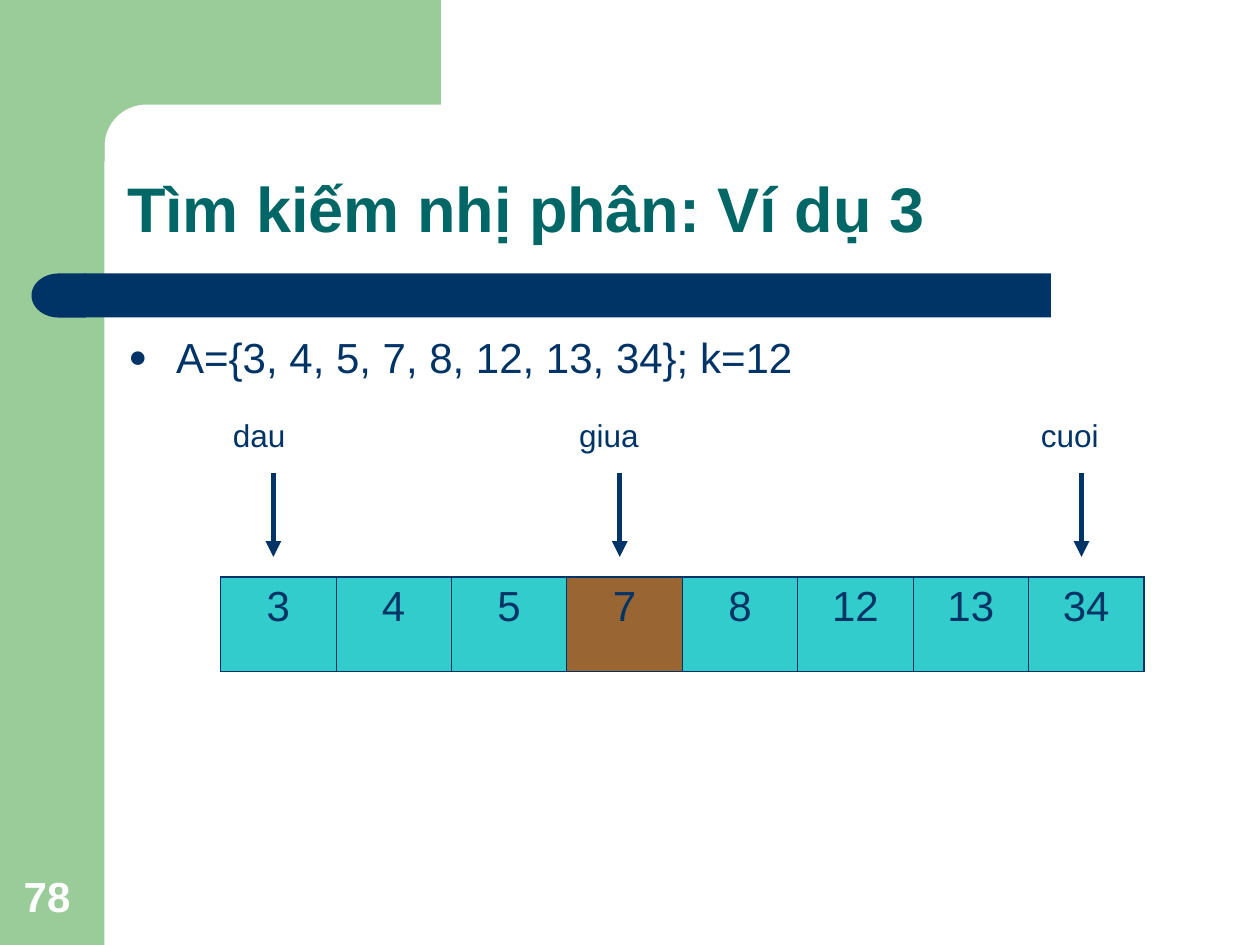
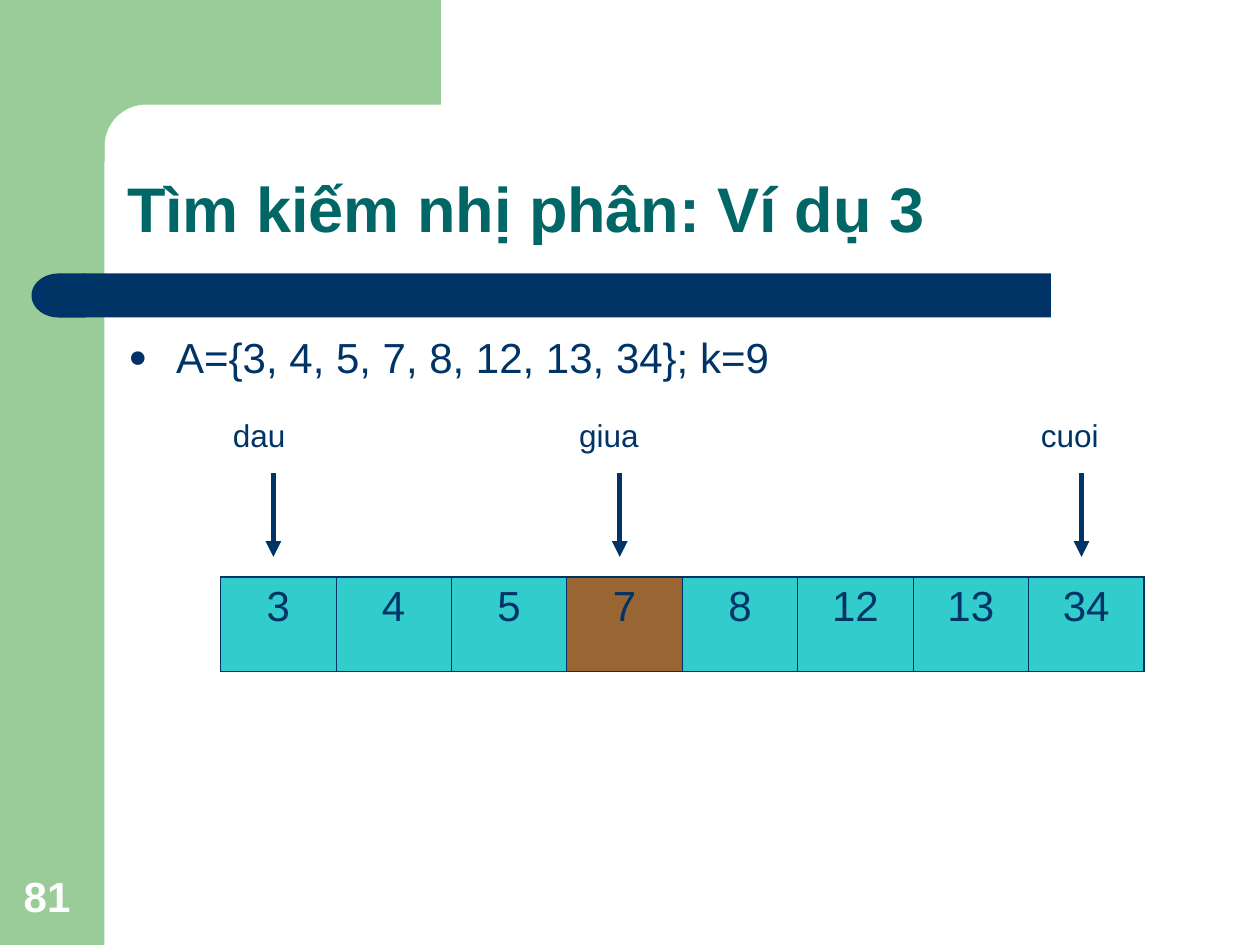
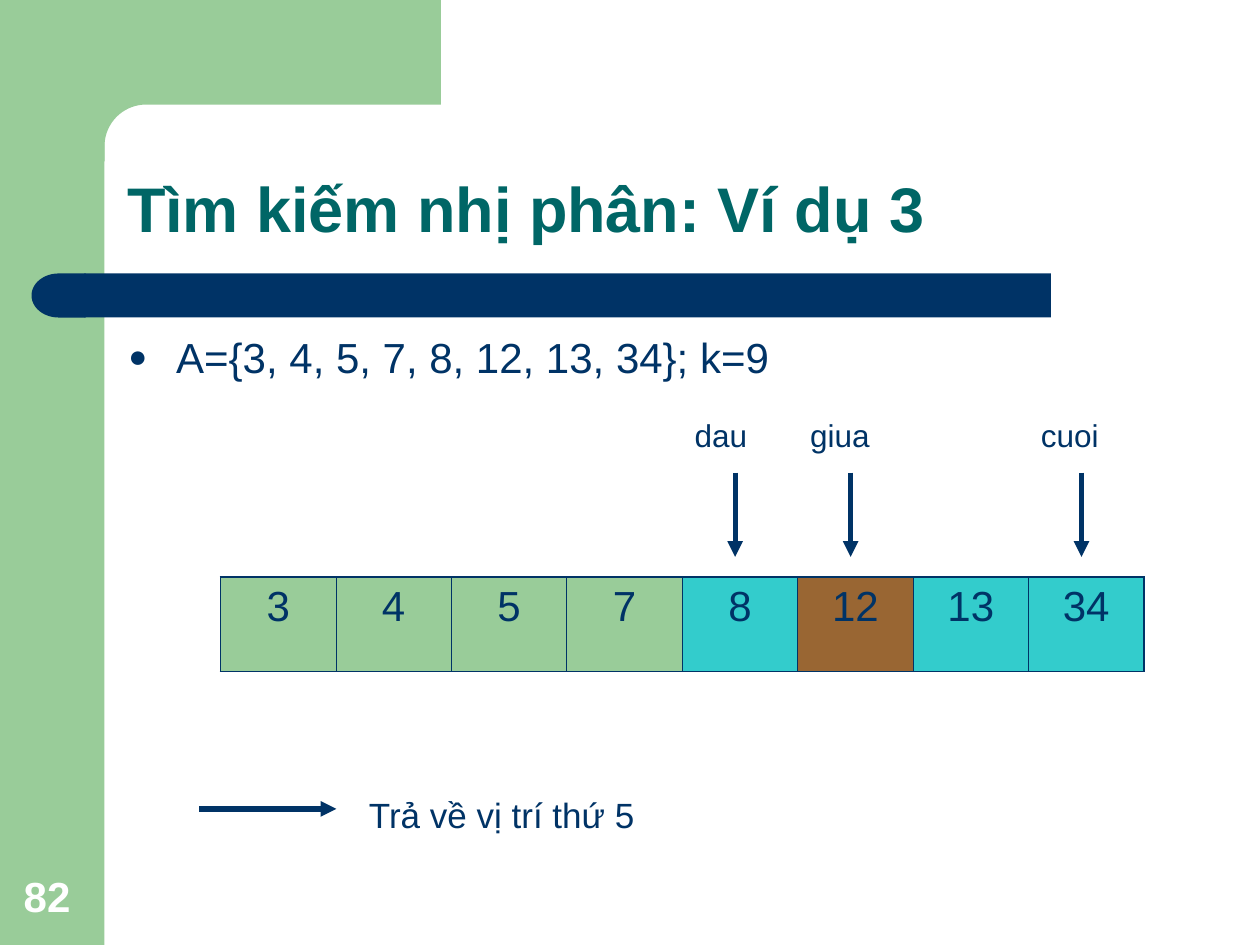
import math
import pptx
import pptx.util
import pptx.dml.color
import pptx.enum.shapes
import pptx.enum.text
import pptx.oxml
import pptx.oxml.ns
from lxml import etree

Inches = pptx.util.Inches
Pt = pptx.util.Pt
KIND = pptx.enum.shapes.MSO_SHAPE
ALIGN = pptx.enum.text.PP_ALIGN
ANCHOR = pptx.enum.text.MSO_ANCHOR
qn = pptx.oxml.ns.qn

FONT = "Arial"
HEX = {"green": "99CC99", "navy": "003366", "title": "006666",
       "white": "FFFFFF", "teal": "33CCCC", "brown": "996633"}

TITLE = "Tìm kiếm nhị phân: Ví dụ 3"
DATA = [3, 4, 5, 7, 8, 12, 13, 34]
# first, mid and last are cell positions counted from 0
STEPS = [
    {"page": 78, "key": 12, "first": 0, "mid": 3, "last": 7, "result": None},
    {"page": 81, "key": 9, "first": 0, "mid": 3, "last": 7, "result": None},
    {"page": 82, "key": 9, "first": 4, "mid": 5, "last": 7,
     "result": "Trả về vị trí thứ 5"},
]
MARKS = [("first", "dau"), ("last", "cuoi"), ("mid", "giua")]

LEFT, TOP, WIDE, HIGH = 1.75, 4.58, 7.33, 0.75
CELL = WIDE / len(DATA)


def tint(name):
    return pptx.dml.color.RGBColor.from_string(HEX[name])


def paint(shape, color):
    shape.shadow.inherit = False
    shape.fill.solid()
    shape.fill.fore_color.rgb = tint(color)
    shape.line.fill.background()


def style(para, size, color="navy", bold=False):
    for run in para.runs:
        font = run.font
        font.name, font.size, font.bold = FONT, Pt(size), bold
        font.color.rgb = tint(color)


def write(slide, box, text, size, color="navy", bold=False, anchor=ANCHOR.TOP):
    frame = slide.shapes.add_textbox(*map(Inches, box)).text_frame
    frame.word_wrap = True
    frame.vertical_anchor = anchor
    frame.text = text
    para = frame.paragraphs[0]
    style(para, size, color, bold)
    return para


def bullet(para):
    props = para._p.get_or_add_pPr()
    props.set("marL", str(Inches(0.38)))
    props.set("indent", str(-Inches(0.38)))
    shade = etree.SubElement(props, qn("a:buClr"))
    etree.SubElement(shade, qn("a:srgbClr"), val=HEX["navy"])
    etree.SubElement(props, qn("a:buSzPct"), val="75000")
    etree.SubElement(props, qn("a:buFont"), typeface=FONT)
    etree.SubElement(props, qn("a:buChar"), char="●")


def arrow(slide, x1, y1, x2, y2):
    link = slide.shapes.add_connector(
        pptx.enum.shapes.MSO_CONNECTOR.STRAIGHT,
        *map(Inches, (x1, y1, x2, y2)))
    link.line.color.rgb = tint("navy")
    link.line.width = Pt(3)
    etree.SubElement(link.line._get_or_add_ln(), qn("a:tailEnd"),
                     type="triangle")
    etree.SubElement(link._element.spPr, qn("a:effectLst"))


def corner(slide):
    """Top band whose inner corner is rounded."""
    mid, rad = 1.16, 0.33
    turns = [math.radians(a) for a in range(90, 181, 5)]
    arc = [(mid + rad * math.cos(t), mid - rad * math.sin(t)) for t in turns]
    points = [(3.5, 0.83), *arc, (0.83, 1.28), (0.5, 1.28), (0.5, 0)]
    build = slide.shapes.build_freeform(Inches(3.5), 0)
    build.add_line_segments([(Inches(x), Inches(y)) for x, y in points])
    paint(build.convert_to_shape(), "green")


def frame(slide, page):
    """Bands, title and page number of every slide."""
    def block(kind, box, color):
        shape = slide.shapes.add_shape(kind, *map(Inches, box))
        paint(shape, color)
        return shape

    block(KIND.RECTANGLE, (0, 0, 0.83, 7.5), "green")
    corner(slide)
    block(KIND.RECTANGLE, (0.67, 2.17, 7.67, 0.35), "navy")
    block(KIND.FLOWCHART_DELAY, (0.25, 2.17, 0.43, 0.35), "navy").rotation = 180
    write(slide, (0.09, 6.83, 0.64, 0.53), str(page), 24, "white", True,
          ANCHOR.BOTTOM)
    head = write(slide, (0.91, 0.91, 8.51, 1.09), TITLE, 36, "title", True,
                 ANCHOR.BOTTOM)
    head.line_spacing = 0.9


def border(cell, side, width):
    line = etree.SubElement(cell._tc.get_or_add_tcPr(), qn("a:ln" + side),
                            w=str(Pt(width)))
    fill = etree.SubElement(line, qn("a:solidFill"))
    etree.SubElement(fill, qn("a:srgbClr"), val=HEX["navy"])


def array(slide, step):
    """Row of cells: green is ruled out, brown is the middle."""
    table = slide.shapes.add_table(
        1, len(DATA), *map(Inches, (LEFT, TOP, WIDE, HIGH))).table
    table.first_row = table.horz_banding = False
    for i, value in enumerate(DATA):
        table.columns[i].width = Inches(CELL)
        cell = table.cell(0, i)
        cell.text = str(value)
        para = cell.text_frame.paragraphs[0]
        para.alignment = ALIGN.CENTER
        style(para, 24)
        ends = {"L": i == 0, "R": i == len(DATA) - 1, "T": True, "B": True}
        for side, outer in ends.items():
            border(cell, side, 1.08 if outer else 0.45)
        color = ("brown" if i == step["mid"] else
                 "teal" if step["first"] <= i <= step["last"] else "green")
        cell.fill.solid()
        cell.fill.fore_color.rgb = tint(color)


def main():
    deck = pptx.Presentation()
    deck.slide_width, deck.slide_height = Inches(10), Inches(7.5)
    for step in STEPS:
        slide = deck.slides.add_slide(deck.slide_layouts[6])
        frame(slide, step["page"])
        items = ", ".join(map(str, DATA))
        bullet(write(slide, (0.92, 2.58, 8.75, 0.75),
                     f"A={{{items}}}; k={step['key']}", 24))
        array(slide, step)
        for name, label in MARKS:
            x = LEFT + step[name] * CELL
            arrow(slide, x + 0.42, 3.75, x + 0.42, 4.42)
            write(slide, (x, 3.25, 1.17, 0.4), label, 18)
        if step["result"]:
            arrow(slide, 1.58, 6.42, 2.67, 6.42)
            write(slide, (2.83, 6.25, 2.75, 0.44), step["result"], 20)
    deck.save("out.pptx")


if __name__ == "__main__":
    main()
